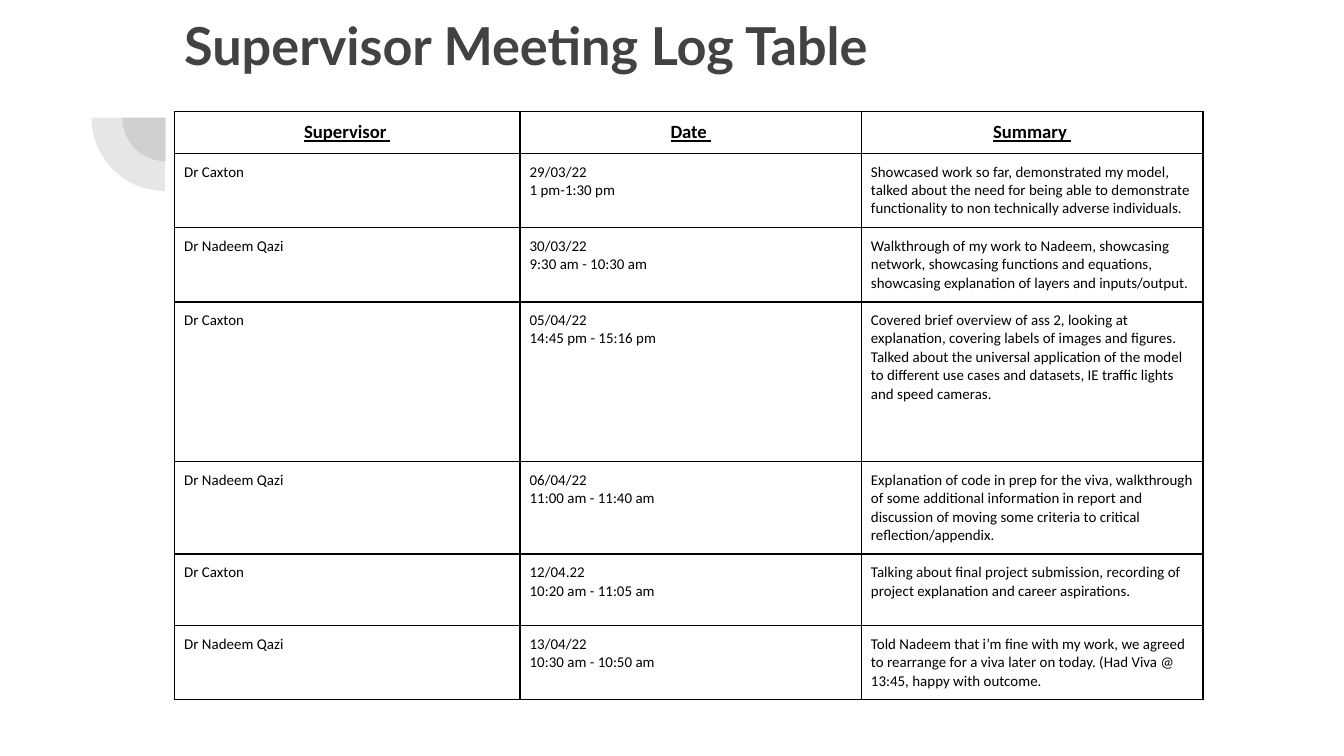
from dataclasses import dataclass

from lxml import etree
from pptx import Presentation
from pptx.dml import color
from pptx.enum import shapes, text
from pptx.oxml import ns
from pptx.util import Cm, Pt


@dataclass(frozen=True)
class Theme:
    grey: str = "424242"
    black: str = "000000"
    alpha: int = 13000
    inset: int = Cm(0.18)
    rule: int = Pt(1)


THEME = Theme()
TITLE = dict(name="Lato", size=Pt(28), bold=True, color=THEME.grey)
HEAD = dict(name="Calibri", size=Pt(10), bold=True, underline=True, color=THEME.black)
BODY = dict(name="Calibri", size=Pt(8), bold=False, underline=False, color=THEME.black)

COLS = [6.53, 6.45, 6.45]
ROWS = [0.43, 1.35, 1.35, 3.02, 1.35, 1.35, 1.35]
LOG = [
    ("Supervisor ", "Date ", "Summary "),
    ("Dr Caxton", "29/03/22\n1 pm-1:30 pm",
     "Showcased work so far, demonstrated my model, talked about the need for being "
     "able to demonstrate functionality to non technically adverse individuals."),
    ("Dr Nadeem Qazi", "30/03/22\n9:30 am - 10:30 am",
     "Walkthrough of my work to Nadeem, showcasing network, showcasing functions and "
     "equations, showcasing explanation of layers and inputs/output."),
    ("Dr Caxton", "05/04/22\n14:45 pm - 15:16 pm",
     "Covered brief overview of ass 2, looking at explanation, covering labels of "
     "images and figures. Talked about the universal application of the model to "
     "different use cases and datasets, IE traffic lights and speed cameras."),
    ("Dr Nadeem Qazi", "06/04/22\n11:00 am - 11:40 am",
     "Explanation of code in prep for the viva, walkthrough of some additional "
     "information in report and discussion of moving some criteria to critical "
     "reflection/appendix."),
    ("Dr Caxton", "12/04.22\n10:20 am - 11:05 am",
     "Talking about final project submission, recording of project explanation and "
     "career aspirations."),
    ("Dr Nadeem Qazi", "13/04/22\n10:30 am - 10:50 am",
     "Told Nadeem that i’m fine with my work, we agreed to rearrange for a viva later "
     "on today. (Had Viva @ 13:45, happy with outcome."),
]


def assign(item, values):
    for key, value in values.items():
        setattr(item, key, value)


def write(frame, words, style, align):
    frame.text = words
    for para in frame.paragraphs:
        para.alignment = align
        for run in para.runs:
            assign(run.font, {k: v for k, v in style.items() if k != "color"})
            run.font.color.rgb = color.RGBColor.from_string(style["color"])


def add_title(slide, words):
    title = slide.shapes.title
    assign(title, dict(left=Cm(3.23), top=Cm(0), width=Cm(19.53), height=Cm(2.77)))
    frame = title.text_frame
    assign(frame, dict.fromkeys(
        ("margin_left", "margin_right", "margin_top", "margin_bottom"), Cm(0.25)))
    assign(frame, dict(word_wrap=True, auto_size=text.MSO_AUTO_SIZE.NONE,
                       vertical_anchor=text.MSO_ANCHOR.TOP))
    write(frame, words, TITLE, text.PP_ALIGN.LEFT)


def add_pie(slide, left, top, size):
    pie = slide.shapes.add_shape(
        shapes.MSO_SHAPE.PIE, Cm(left), Cm(top), Cm(size), Cm(size))
    pie.adjustments[0], pie.adjustments[1] = 54, 108
    pie.shadow.inherit = False
    pie.line.fill.background()
    pie.fill.solid()
    pie.fill.fore_color.rgb = color.RGBColor.from_string(THEME.grey)
    tint = pie.fill._xPr.find(".//" + ns.qn("a:srgbClr"))
    etree.SubElement(tint, ns.qn("a:alpha"), val=str(THEME.alpha))


def add_rules(cell):
    props = cell._tc.get_or_add_tcPr()
    for side in ("lnL", "lnR", "lnT", "lnB"):
        line = etree.SubElement(props, ns.qn("a:" + side), w=str(THEME.rule))
        fill = etree.SubElement(line, ns.qn("a:solidFill"))
        etree.SubElement(fill, ns.qn("a:srgbClr"), val=THEME.black)


def add_log(slide):
    frame = slide.shapes.add_table(len(ROWS), len(COLS), Cm(3.3), Cm(2.11),
                                   Cm(sum(COLS)), Cm(sum(ROWS)))
    table = frame.table
    assign(table, dict(first_row=False, horz_banding=False))
    for col, width in zip(table.columns, COLS):
        col.width = Cm(width)
    for row, height, entry in zip(table.rows, ROWS, LOG):
        row.height = Cm(height)
        head = entry is LOG[0]
        style = HEAD if head else BODY
        align = text.PP_ALIGN.CENTER if head else text.PP_ALIGN.LEFT
        for cell, words in zip(row.cells, entry):
            assign(cell, dict.fromkeys(
                ("margin_left", "margin_right", "margin_top", "margin_bottom"),
                THEME.inset))
            add_rules(cell)
            cell.fill.background()
            write(cell.text_frame, words, style, align)


def main():
    deck = Presentation()
    assign(deck, dict(slide_width=Cm(25.4), slide_height=Cm(14.29)))
    slide = deck.slides.add_slide(deck.slide_layouts[5])
    add_pie(slide, 2.31, 1.4, 1.65)
    add_pie(slide, 1.73, 0.84, 2.77)
    add_title(slide, "Supervisor Meeting Log Table")
    add_log(slide)
    deck.save("out.pptx")


if __name__ == "__main__":
    main()
